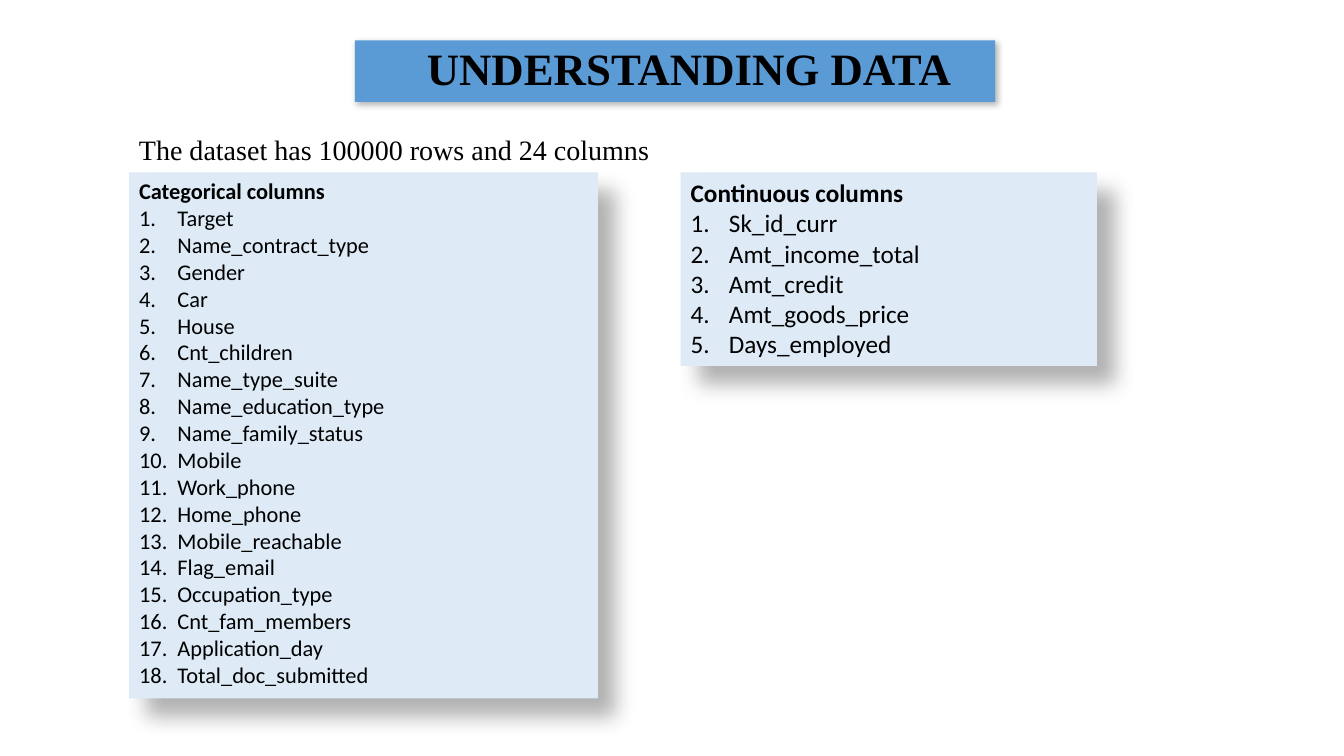
from lxml import etree
from pptx import Presentation
from pptx.dml.color import RGBColor
from pptx.enum.shapes import MSO_SHAPE
from pptx.enum.text import MSO_ANCHOR, MSO_AUTO_SIZE, PP_ALIGN
from pptx.oxml.ns import qn
from pptx.util import Inches, Pt

RECTANGLE = MSO_SHAPE.RECTANGLE
TOP, MIDDLE = MSO_ANCHOR.TOP, MSO_ANCHOR.MIDDLE
LEFT, CENTER = PP_ALIGN.LEFT, PP_ALIGN.CENTER
NO_AUTOFIT = MSO_AUTO_SIZE.NONE

THEME = {
    "banner": RGBColor(0x5B, 0x9B, 0xD5),
    "panel": RGBColor(0xDE, 0xEB, 0xF7),
    "text": RGBColor(0, 0, 0),
    "serif": "Times New Roman",
    "sans": "Calibri",
    "title_size": 32,
    "summary_size": 20,
    "categorical_size": 16,
    "continuous_size": 18,
}
LIST_INDENT = Inches(0.38)
PANEL_TOP = 1.71

PANELS = [
    {
        "heading": "Categorical columns",
        "left": 1.28, "width": 4.65, "height": 5.22,
        "size": THEME["categorical_size"],
        "columns": [
            "Target", "Name_contract_type", "Gender", "Car", "House",
            "Cnt_children", "Name_type_suite", "Name_education_type",
            "Name_family_status", "Mobile", "Work_phone", "Home_phone",
            "Mobile_reachable", "Flag_email", "Occupation_type",
            "Cnt_fam_members", "Application_day", "Total_doc_submitted",
        ],
    },
    {
        "heading": "Continuous columns",
        "left": 6.75, "width": 4.13, "height": 1.92,
        "size": THEME["continuous_size"],
        "columns": ["Sk_id_curr", "Amt_income_total", "Amt_credit",
                    "Amt_goods_price", "Days_employed"],
    },
]


def add_shadow(shape, blur, distance, angle):
    """Give a shape a soft black shadow; blur and distance are in points."""
    shape.shadow.inherit = False
    effects = shape.element.spPr.find(qn("a:effectLst"))
    shadow = etree.SubElement(
        effects, qn("a:outerShdw"), blurRad=str(Pt(blur)),
        dist=str(Pt(distance)), dir=str(angle * 60000), algn="tl", rotWithShape="0")
    color = etree.SubElement(shadow, qn("a:srgbClr"), val="000000")
    etree.SubElement(color, qn("a:alpha"), val="30000")


def write_text(shape, lines, font, size, bold=False, align=LEFT, anchor=TOP):
    """Write lines as evenly set paragraphs and return the paragraphs."""
    frame = shape.text_frame
    frame.text = "\n".join(lines)
    frame_format = {"word_wrap": True, "auto_size": NO_AUTOFIT, "vertical_anchor": anchor}
    for name, value in frame_format.items():
        setattr(frame, name, value)
    for paragraph in frame.paragraphs:
        paragraph.alignment = align
        paragraph.space_before = Pt(0)
        font_format = {"name": font, "size": Pt(size), "bold": bold}
        for run in paragraph.runs:
            for name, value in font_format.items():
                setattr(run.font, name, value)
            run.font.color.rgb = THEME["text"]
    return frame.paragraphs


presentation = Presentation()
presentation.slide_width = Inches(13.33)
presentation.slide_height = Inches(7.5)
two_content_layout = presentation.slide_layouts[3]
slide = presentation.slides.add_slide(two_content_layout)
title, *panel_shapes = slide.placeholders

# Title over its banner
banner = slide.shapes.add_shape(
    RECTANGLE, Inches(3.52), Inches(0.4), Inches(6.35), Inches(0.61))
banner.fill.solid()
banner.fill.fore_color.rgb = THEME["banner"]
banner.line.fill.background()
add_shadow(banner, blur=4.5, distance=2.6, angle=53)
title.element.addprevious(banner.element)

title.left, title.top = Inches(3.8), Inches(0.35)
title.width, title.height = Inches(6.07), Inches(0.64)
write_text(title, ["UNDERSTANDING DATA"], THEME["serif"], THEME["title_size"],
           bold=True, align=CENTER, anchor=MIDDLE)

# Dataset summary
summary = slide.shapes.add_textbox(Inches(1.28), Inches(1.27), Inches(8.6), Inches(0.44))
write_text(summary, ["The dataset has 100000 rows and 24 columns"],
           THEME["serif"], THEME["summary_size"])

# Numbered column lists
for shape, panel in zip(panel_shapes, PANELS):
    shape.left, shape.top = Inches(panel["left"]), Inches(PANEL_TOP)
    shape.width, shape.height = Inches(panel["width"]), Inches(panel["height"])
    shape.fill.solid()
    shape.fill.fore_color.rgb = THEME["panel"]
    add_shadow(shape, blur=15, distance=18, angle=45)

    heading, *items = write_text(
        shape, [panel["heading"], *panel["columns"]], THEME["sans"], panel["size"])
    heading.runs[0].font.bold = True
    heading_properties = heading._p.get_or_add_pPr()
    heading_properties.set("marL", "0")
    heading_properties.set("indent", "0")
    etree.SubElement(heading_properties, qn("a:buNone"))
    for item in items:
        properties = item._p.get_or_add_pPr()
        properties.set("marL", str(LIST_INDENT))
        properties.set("indent", str(-LIST_INDENT))
        etree.SubElement(properties, qn("a:buFont"), typeface=THEME["sans"])
        etree.SubElement(properties, qn("a:buAutoNum"), type="arabicPeriod")

presentation.save("out.pptx")
